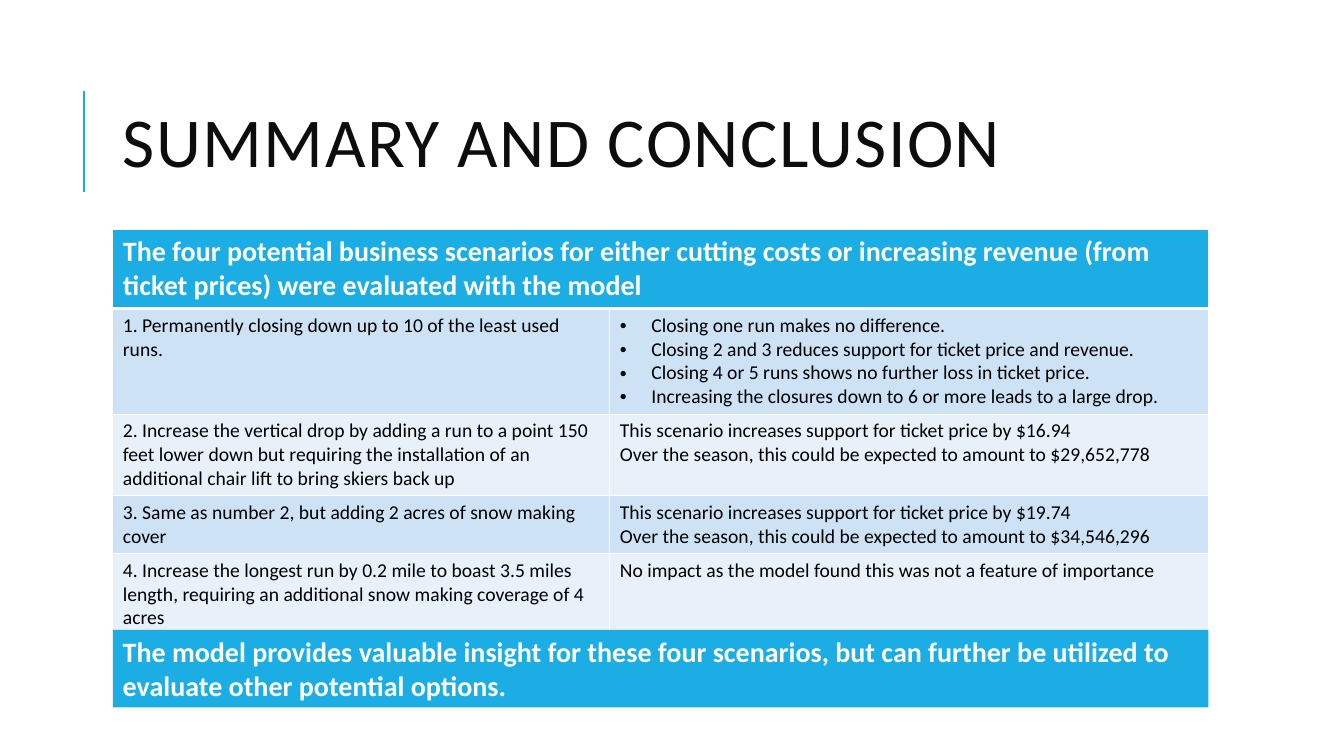
from dataclasses import dataclass

from lxml.etree import SubElement
from pptx import Presentation
from pptx.dml.color import RGBColor
from pptx.enum.shapes import MSO_CONNECTOR, MSO_SHAPE
from pptx.enum.text import MSO_ANCHOR, MSO_AUTO_SIZE, PP_ALIGN
from pptx.oxml import parse_xml
from pptx.oxml.ns import nsdecls, qn
from pptx.util import Pt

COLORS = {
    "accent": "1CADE4",
    "band_dark": "CDE3F5",
    "band_light": "E8F1FA",
    "white": "FFFFFF",
    "black": "000000",
    "title": "0D0D0D",
}
FONT = "Calibri"
LEFT, WIDTH = 80.6, 782.6
COL_WIDTHS = (355, 427.6)
HEADER_HEIGHT = 41


@dataclass
class Scenario:
    description: str
    findings: list[str]
    height: float
    bulleted: bool = False


HEADER = (
    "The four potential business scenarios for either cutting costs or increasing "
    "revenue (from ticket prices) were evaluated with the model"
)
CONCLUSION = (
    "The model provides valuable insight for these four scenarios, but can further "
    "be utilized to evaluate other potential options."
)
SCENARIOS = [
    Scenario(
        "1. Permanently closing down up to 10 of the least used runs.",
        [
            "Closing one run makes no difference.",
            "Closing 2 and 3 reduces support for ticket price and revenue.",
            "Closing 4 or 5 runs shows no further loss in ticket price.",
            "Increasing the closures down to 6 or more leads to a large drop.",
        ],
        48,
        bulleted=True,
    ),
    Scenario(
        "2. Increase the vertical drop by adding a run to a point 150 feet lower down "
        "but requiring the installation of an additional chair lift to bring skiers back up",
        [
            "This scenario increases support for ticket price by $16.94",
            "Over the season, this could be expected to amount to $29,652,778",
        ],
        47.5,
    ),
    Scenario(
        "3. Same as number 2, but adding 2 acres of snow making cover",
        [
            "This scenario increases support for ticket price by $19.74",
            "Over the season, this could be expected to amount to $34,546,296",
        ],
        28,
    ),
    Scenario(
        "4. Increase the longest run by 0.2 mile to boast 3.5 miles length, requiring "
        "an additional snow making coverage of 4 acres",
        ["No impact as the model found this was not a feature of importance"],
        47.5,
    ),
]


def rgb(name: str) -> RGBColor:
    return RGBColor.from_string(COLORS[name])


def write(tf, lines: list[str], *, size: float = 14, color: str = "black",
          bold: bool = False, bulleted: bool = False,
          line_spacing: float | None = None, tracking: float = 0) -> None:
    tf.word_wrap = True
    for i, line in enumerate(lines):
        p = tf.add_paragraph() if i else tf.paragraphs[0]
        p.alignment = PP_ALIGN.LEFT
        if line_spacing:
            p.line_spacing = line_spacing
        if bulleted:
            add_bullet(p)
        r = p.add_run()
        r.text = line
        r.font.name = FONT
        r.font.size = Pt(size)
        r.font.bold = bold
        r.font.color.rgb = rgb(color)
        if tracking:
            r.font._element.set("spc", str(int(tracking * 100)))


def add_bullet(p, indent: float = 22.5) -> None:
    pPr = p._p.get_or_add_pPr()
    pPr.set("marL", str(Pt(indent)))
    pPr.set("indent", str(-Pt(indent)))
    SubElement(pPr, qn("a:buFont")).set("typeface", "Arial")
    SubElement(pPr, qn("a:buChar")).set("char", "•")


def format_cell(cell, fill: str, bottom: float = 1) -> None:
    cell.fill.solid()
    cell.fill.fore_color.rgb = rgb(fill)
    tcPr = cell._tc.get_or_add_tcPr()
    for i, side in enumerate("LRTB"):
        width = bottom if side == "B" else 1
        tcPr.insert(i, parse_xml(
            f'<a:ln{side} {nsdecls("a")} w="{Pt(width)}"><a:solidFill>'
            f'<a:srgbClr val="{COLORS["white"]}"/></a:solidFill></a:ln{side}>'
        ))


def add_title(s) -> None:
    line = s.shapes.add_connector(MSO_CONNECTOR.STRAIGHT, Pt(60), Pt(137), Pt(60), Pt(65))
    line.line.color.rgb = rgb("accent")
    line.line.width = Pt(1.5)
    SubElement(line._element.spPr, qn("a:effectLst"))
    sp = s.shapes.title
    sp.left, sp.top, sp.width, sp.height = Pt(LEFT), Pt(46), Pt(765.4), Pt(118)
    tf = sp.text_frame
    tf.auto_size = MSO_AUTO_SIZE.NONE
    tf.vertical_anchor = MSO_ANCHOR.MIDDLE
    write(tf, ["SUMMARY AND CONCLUSION"], size=50, color="title",
          line_spacing=0.8, tracking=1)


def add_scenarios(s) -> None:
    frame = s.shapes.add_table(len(SCENARIOS) + 1, 2, Pt(LEFT), Pt(164.2), Pt(WIDTH), Pt(283))
    table = frame.table
    for column, width in zip(table.columns, COL_WIDTHS):
        column.width = Pt(width)
    for row, height in zip(table.rows, [HEADER_HEIGHT, *(sc.height for sc in SCENARIOS)]):
        row.height = Pt(height)
    frame.height = Pt(283)
    header = table.cell(0, 0)
    header.merge(table.cell(0, 1))
    for cell in table.rows[0].cells:
        format_cell(cell, "accent", bottom=3)
    write(header.text_frame, [HEADER], size=20, color="white", bold=True)
    for i, scenario in enumerate(SCENARIOS, start=1):
        left, right = table.rows[i].cells
        for cell in (left, right):
            format_cell(cell, "band_dark" if i % 2 else "band_light")
        write(left.text_frame, [scenario.description])
        write(right.text_frame, scenario.findings, bulleted=scenario.bulleted)


def add_conclusion(s) -> None:
    sp = s.shapes.add_shape(MSO_SHAPE.RECTANGLE, Pt(LEFT), Pt(450), Pt(WIDTH), Pt(55.4))
    sp.shadow.inherit = False
    sp.fill.solid()
    sp.fill.fore_color.rgb = rgb("accent")
    sp.line.fill.background()
    tf = sp.text_frame
    tf.vertical_anchor = MSO_ANCHOR.TOP
    write(tf, [CONCLUSION], size=20, color="white", bold=True)


def main() -> None:
    prs = Presentation()
    prs.slide_width, prs.slide_height = Pt(960), Pt(540)
    s = prs.slides.add_slide(prs.slide_layouts[5])
    add_title(s)
    add_scenarios(s)
    add_conclusion(s)
    prs.save("out.pptx")


if __name__ == "__main__":
    main()
